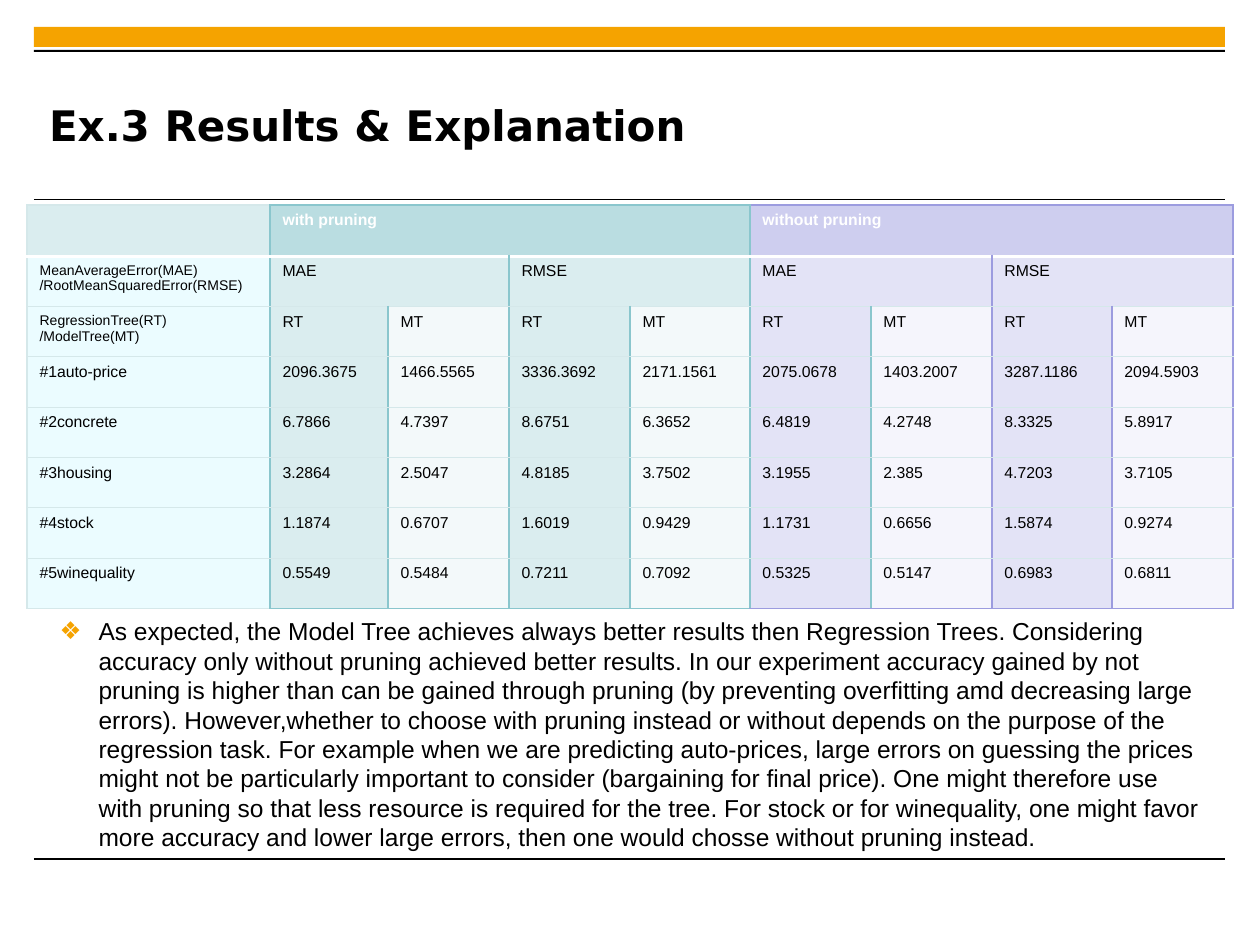
from lxml import etree
from pptx import Presentation
from pptx.dml.color import RGBColor
from pptx.enum.shapes import MSO_CONNECTOR, MSO_SHAPE
from pptx.enum.text import MSO_ANCHOR, MSO_AUTO_SIZE, PP_ALIGN
from pptx.oxml.ns import qn
from pptx.util import Pt

RECTANGLE = MSO_SHAPE.RECTANGLE
STRAIGHT = MSO_CONNECTOR.STRAIGHT
MIDDLE = MSO_ANCHOR.MIDDLE
NO_AUTOFIT = MSO_AUTO_SIZE.NONE
LEFT = PP_ALIGN.LEFT
PX = 914400 // 126
NO_STYLE = "{2D5ABB26-0587-4C30-8999-92F81FD0307C}"

COLORS = {
    "black": "000000",
    "white": "FFFFFF",
    "orange": "F5A300",
    "label": "EBFCFF",
    "pale": "D5E8EA",
    "corner": "DAEDEF",
    "teal": "8AC6CD",
    "violet": "9C9CDF",
}
GROUP_FILLS = {
    "teal": {"head": "BADDE1", "RT": "DAEDEF", "MT": "F3F9FA"},
    "violet": {"head": "CECEEF", "RT": "E3E3F6", "MT": "F5F5FC"},
}


def write(frame, text, size, color="black", font="Arial", bold=False):
    frame.text = text
    for paragraph in frame.paragraphs:
        paragraph.alignment = LEFT
        paragraph.line_spacing = 1.0
        paragraph.space_before = paragraph.space_after = Pt(0)
        for run in paragraph.runs:
            run.font.size = Pt(size)
            run.font.name = font
            run.font.bold = bold
            run.font.color.rgb = RGBColor.from_string(COLORS[color])


def add_border(cell, side, color, width):
    line = etree.SubElement(cell._tc.get_or_add_tcPr(), qn(f"a:ln{side}"), w=str(Pt(width)))
    solid = etree.SubElement(line, qn("a:solidFill"))
    etree.SubElement(solid, qn("a:srgbClr"), val=COLORS[color])


prs = Presentation()
prs.slide_width, prs.slide_height = 1260 * PX, 945 * PX
slide = prs.slides.add_slide(prs.slide_layouts[1])
shapes = slide.shapes

for top, height, color in [(27, 20, "orange"), (50, 2, "black")]:
    bar = shapes.add_shape(RECTANGLE, 34 * PX, top * PX, 1191 * PX, height * PX)
    bar.shadow.inherit = False
    bar.fill.solid()
    bar.fill.fore_color.rgb = RGBColor.from_string(COLORS[color])
    bar.line.fill.background()

for y in (200, 859):
    rule = shapes.add_connector(STRAIGHT, 34 * PX, y * PX, 1225 * PX, y * PX)
    rule.line.width = Pt(0.6)
    rule.line.color.rgb = RGBColor.from_string(COLORS["black"])
    etree.SubElement(rule._element.spPr, qn("a:effectLst"))

title = shapes.title
title.left, title.top, title.width, title.height = 49 * PX, 67 * PX, 948 * PX, 116 * PX
heading = title.text_frame
heading.margin_left = heading.margin_right = heading.margin_top = heading.margin_bottom = 0
heading.vertical_anchor = MIDDLE
heading.auto_size = NO_AUTOFIT
write(heading, "Ex.3 Results & Explanation", 24, font="DejaVu Sans", bold=True)

RESULTS = [
    ["", "with pruning", "", "", "", "without pruning", "", "", ""],
    ["MeanAverageError(MAE)\n/RootMeanSquaredError(RMSE)", "MAE", "", "RMSE", "", "MAE", "", "RMSE", ""],
    ["RegressionTree(RT)\n/ModelTree(MT)"] + ["RT", "MT"] * 4,
    ["#1auto-price", "2096.3675", "1466.5565", "3336.3692", "2171.1561",
     "2075.0678", "1403.2007", "3287.1186", "2094.5903"],
    ["#2concrete", "6.7866", "4.7397", "8.6751", "6.3652", "6.4819", "4.2748", "8.3325", "5.8917"],
    ["#3housing", "3.2864", "2.5047", "4.8185", "3.7502", "3.1955", "2.385", "4.7203", "3.7105"],
    ["#4stock", "1.1874", "0.6707", "1.6019", "0.9429", "1.1731", "0.6656", "1.5874", "0.9274"],
    ["#5winequality", "0.5549", "0.5484", "0.7211", "0.7092", "0.5325", "0.5147", "0.6983", "0.6811"],
]
COLUMN_WIDTHS = [243, 118, 121, 121, 120, 121, 121, 120, 121]
TABLE_HEIGHT = 403
EDGE_COLORS = ["pale"] + ["teal"] * 6 + ["violet"] * 3
SPANS = {0: 4, 1: 2}
last_row = len(RESULTS) - 1

results = shapes.add_table(len(RESULTS), len(COLUMN_WIDTHS), 27 * PX, 205 * PX,
                           sum(COLUMN_WIDTHS) * PX, TABLE_HEIGHT * PX).table
results.first_row = results.horz_banding = False
results._tbl.tblPr.find(qn("a:tableStyleId")).text = NO_STYLE
for column, width in zip(results.columns, COLUMN_WIDTHS):
    column.width = width * PX
for row in results.rows:
    row.height = TABLE_HEIGHT * PX // len(RESULTS)
for r, span in SPANS.items():
    for c in range(1, 9, span):
        results.cell(r, c).merge(results.cell(r, c + span - 1))

for r, values in enumerate(RESULTS):
    for c, value in enumerate(values):
        cell = results.cell(r, c)
        span = 1 if c == 0 else SPANS.get(r, 1)
        group = "teal" if c < 5 else "violet"
        outer = ("pale", 0.75) if c == 0 else (group, 1)
        inner = ("pale", 0.75)
        under_head = ("white", 2)
        if not cell.is_spanned:
            for side, edge in (("L", c), ("R", c + span)):
                add_border(cell, side, EDGE_COLORS[edge], 1 if edge else 0.75)
        add_border(cell, "T", *(outer if r == 0 else under_head if r == 1 else inner))
        add_border(cell, "B", *(under_head if r == 0 else outer if r == last_row else inner))
        if c == 0:
            fill = COLORS["corner" if r == 0 else "label"]
        elif r == 0:
            fill = GROUP_FILLS[group]["head"]
        else:
            fill = GROUP_FILLS[group]["RT" if r == 1 or c % 2 else "MT"]
        cell.fill.solid()
        cell.fill.fore_color.rgb = RGBColor.from_string(fill)
        if value:
            write(cell.text_frame, value, 8 if "\n" in value else 9,
                  color="white" if r == 0 else "black", bold=r == 0)

explanation = slide.placeholders[1]
explanation.left, explanation.top = 47 * PX, 610 * PX
explanation.width, explanation.height = 1167 * PX, 249 * PX
body = explanation.text_frame
body.word_wrap = True
body.auto_size = NO_AUTOFIT
write(body, (
    "As expected, the Model Tree achieves always better results then Regression Trees. "
    "Considering accuracy only without pruning achieved better results. In our experiment "
    "accuracy gained by not pruning is higher than can be gained through pruning (by preventing "
    "overfitting amd decreasing large errors). However,whether to choose with pruning instead or "
    "without depends on the purpose of the regression task. For example when we are predicting "
    "auto-prices, large errors on guessing the prices might not be particularly important to "
    "consider (bargaining for final price). One might therefore use with pruning so that less "
    "resource is required for the tree. For stock or for winequality, one might favor more "
    "accuracy and lower large errors, then one would chosse without pruning instead."
), 14)
bullet = body.paragraphs[0]._p.get_or_add_pPr()
bullet.set("marL", str(39 * PX))
bullet.set("indent", str(-39 * PX))
bullet_color = etree.SubElement(bullet, qn("a:buClr"))
etree.SubElement(bullet_color, qn("a:srgbClr"), val=COLORS["orange"])
etree.SubElement(bullet, qn("a:buChar"), char="❖")

prs.save("out.pptx")
